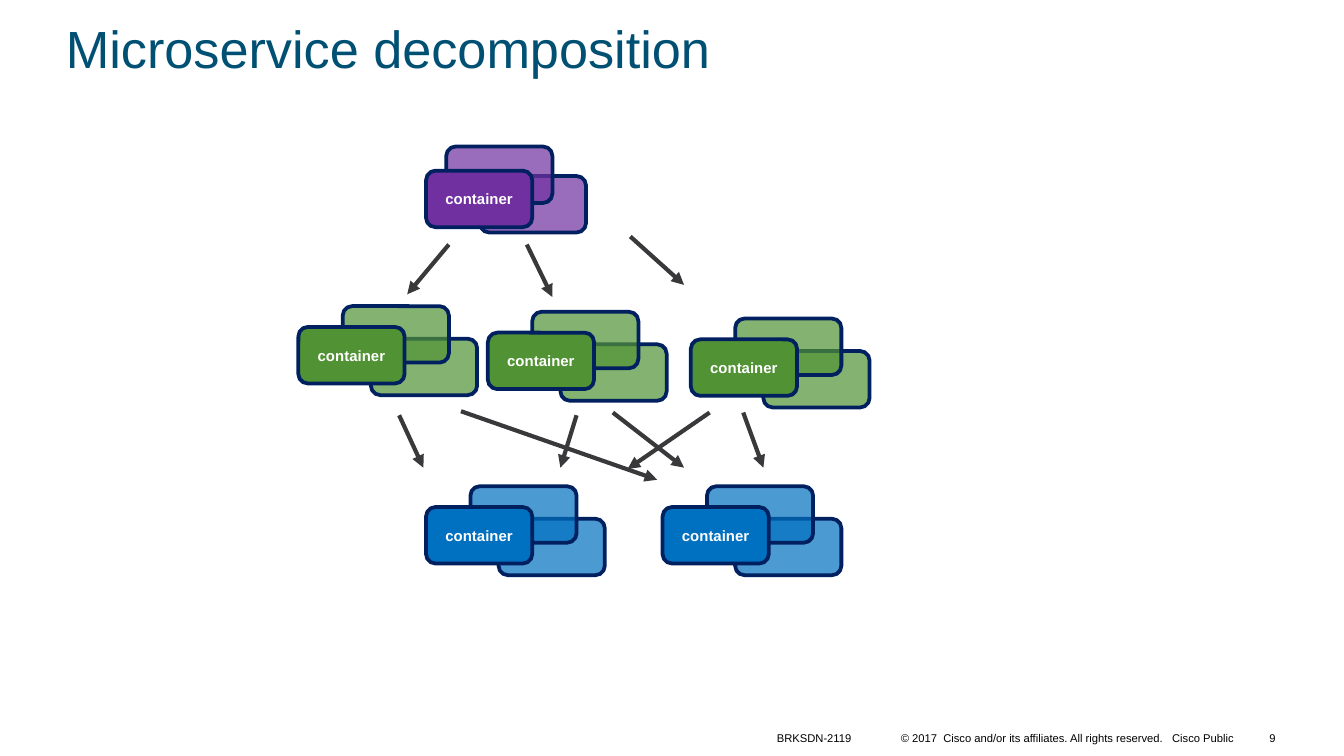
from lxml import etree
from pptx import Presentation
from pptx.dml.color import RGBColor
from pptx.enum.shapes import MSO_CONNECTOR, MSO_SHAPE
from pptx.enum.text import MSO_ANCHOR, MSO_AUTO_SIZE, PP_ALIGN
from pptx.oxml.ns import qn
from pptx.util import Inches, Pt

ROUNDED = MSO_SHAPE.ROUNDED_RECTANGLE
STRAIGHT = MSO_CONNECTOR.STRAIGHT
MIDDLE, BOTTOM = MSO_ANCHOR.MIDDLE, MSO_ANCHOR.BOTTOM
LEFT, CENTER, RIGHT = PP_ALIGN.LEFT, PP_ALIGN.CENTER, PP_ALIGN.RIGHT
FIXED_SIZE = MSO_AUTO_SIZE.NONE

TEAL = RGBColor(0x00, 0x50, 0x73)
PURPLE = RGBColor(0x70, 0x30, 0xA0)
GREEN = RGBColor(0x51, 0x92, 0x34)
BLUE = RGBColor(0x00, 0x70, 0xC0)
NAVY = RGBColor(0x00, 0x20, 0x60)
GRAY = RGBColor(0x39, 0x39, 0x3B)
WHITE = RGBColor(0xFF, 0xFF, 0xFF)
BLACK = RGBColor(0x00, 0x00, 0x00)

FONT = "Arial"
SLIDE_WIDTH = Inches(10)
SLIDE_HEIGHT = SLIDE_WIDTH * 9 // 16
CELL = SLIDE_WIDTH / 100
CARD_COLUMNS, CARD_ROWS = 7.9, 4.2
WIDE_FAN = ((5.4, 0.87), (3.3, -1.55))
TIGHT_FAN = ((4, 0.4), (1.5, -1.8))

STACKS = [
    (31.7, 12.7, PURPLE, TIGHT_FAN),
    (22.2, 24.33, GREEN, WIDE_FAN),
    (36.3, 24.75, GREEN, WIDE_FAN),
    (51.4, 25.25, GREEN, WIDE_FAN),
    (31.7, 37.73, BLUE, WIDE_FAN),
    (49.3, 37.73, BLUE, WIDE_FAN),
]
CALLS = [
    (33.4, 18.2, 30.3, 21.9),
    (39.2, 18.2, 41.1, 22.1),
    (46.9, 17.6, 50.9, 21.2),
    (29.7, 30.9, 31.5, 34.8),
    (34.3, 30.6, 48.9, 35.7),
    (42.9, 30.9, 41.7, 34.8),
    (45.6, 30.7, 50.9, 34.8),
    (52.8, 30.7, 46.7, 34.9),
    (55.3, 30.7, 56.8, 34.8),
]
FOOTERS = [
    ((57.1, 54.05, 7.8, 1.7), "BRKSDN-2119", LEFT, BOTTOM),
    ((65.5, 54.05, 27, 1.7),
     "© 2017  Cisco and/or its affiliates. All rights reserved.   Cisco Public",
     RIGHT, BOTTOM),
    ((91.7, 53.45, 3.9, 3), "9", RIGHT, MIDDLE),
]


def grid(*cells):
    return [round(cell * CELL) for cell in cells]


def write(para, text, size, color, align, bold=False):
    para.alignment = align
    span = para.add_run()
    span.text = text
    span.font.name = FONT
    span.font.size = Pt(size)
    span.font.bold = bold
    span.font.color.rgb = color


def add_title(page, box, text):
    title = page.shapes.title
    title.left, title.top, title.width, title.height = grid(*box)
    frame = title.text_frame
    frame.auto_size = FIXED_SIZE
    frame.vertical_anchor = BOTTOM
    para = frame.paragraphs[0]
    para.line_spacing = 0.9
    write(para, text, 28, TEAL, LEFT)


def add_card(page, column, row, color, opacity=100):
    card = page.shapes.add_shape(
        ROUNDED, *grid(column, row, CARD_COLUMNS, CARD_ROWS))
    card.shadow.inherit = False
    card.fill.solid()
    card.fill.fore_color.rgb = color
    card.line.color.rgb = NAVY
    card.line.width = Pt(2)
    if opacity < 100:
        tint = card.fill._xPr.find(qn("a:solidFill"))[0]
        etree.SubElement(tint, qn("a:alpha"), val=str(opacity * 1000))
    return card


def add_stack(page, column, row, color, fan):
    for across, down in fan:
        add_card(page, column + across, row + down, color, 70)
    front = add_card(page, column, row, color)
    frame = front.text_frame
    frame.vertical_anchor = MIDDLE
    write(frame.paragraphs[0], "container", 8, WHITE, CENTER, bold=True)


def add_arrow(page, *ends):
    arrow = page.shapes.add_connector(STRAIGHT, *grid(*ends))
    arrow.line.color.rgb = GRAY
    arrow.line.width = Pt(2.25)
    etree.SubElement(arrow.line._get_or_add_ln(), qn("a:tailEnd"), type="triangle")
    etree.SubElement(arrow._element.spPr, qn("a:effectLst"))


def add_footer(page, box, text, align, anchor):
    frame = page.shapes.add_textbox(*grid(*box)).text_frame
    frame.word_wrap = True
    frame.vertical_anchor = anchor
    frame.margin_left = frame.margin_right = Inches(0.07)
    frame.margin_top = frame.margin_bottom = Inches(0.03)
    write(frame.paragraphs[0], text, 6, BLACK, align)


def main():
    deck = Presentation()
    deck.slide_width, deck.slide_height = SLIDE_WIDTH, SLIDE_HEIGHT
    page = deck.slides.add_slide(deck.slide_layouts.get_by_name("Title Only"))
    add_title(page, (3.9, 1.65, 93.1, 4.8), "Microservice decomposition")
    for stack in STACKS:
        add_stack(page, *stack)
    for call in CALLS:
        add_arrow(page, *call)
    for footer in FOOTERS:
        add_footer(page, *footer)
    deck.save("out.pptx")


if __name__ == "__main__":
    main()
